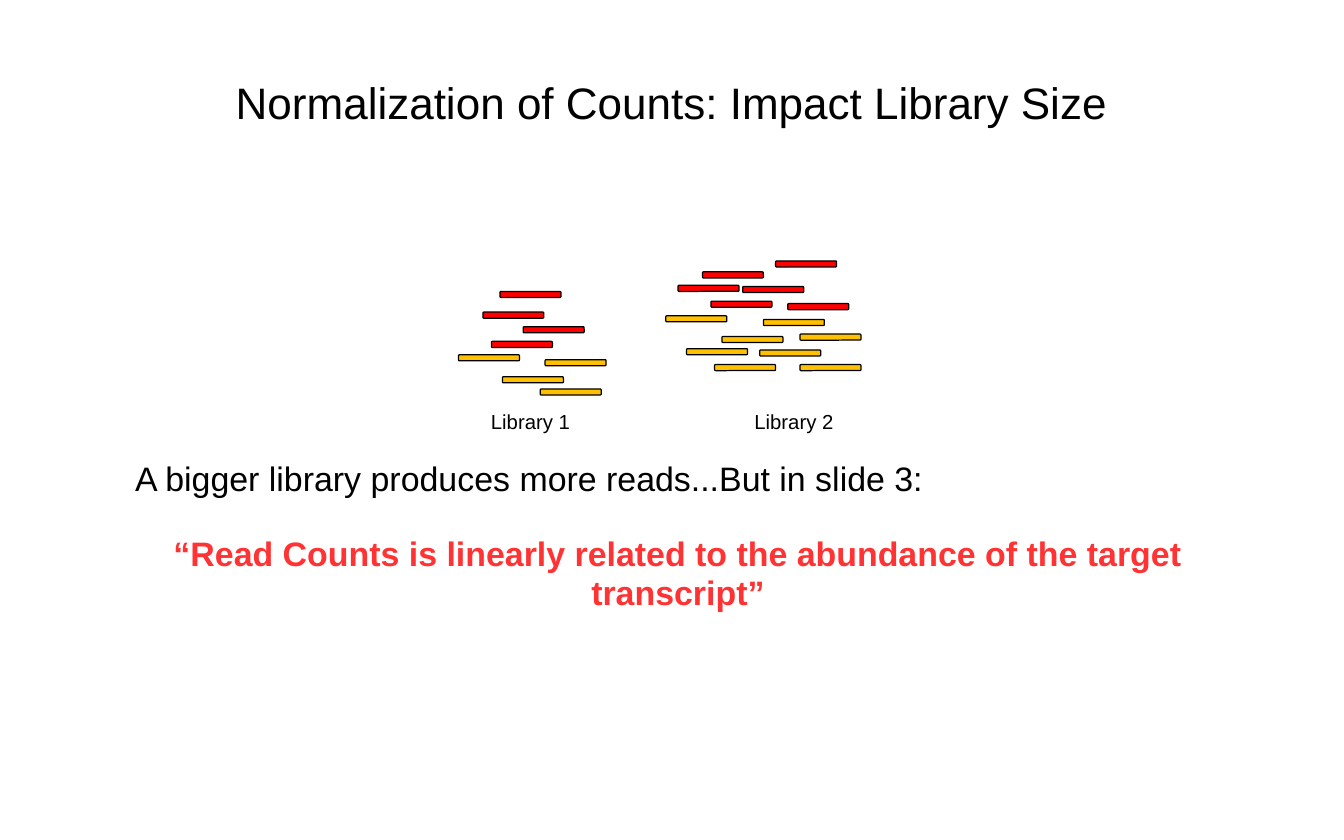
from pptx import Presentation
from pptx.dml.color import RGBColor
from pptx.enum.shapes import MSO_SHAPE
from pptx.enum.text import MSO_ANCHOR, PP_ALIGN
from pptx.util import Inches, Pt

COLS, ROWS = 110.2, 68.9
CELL = Inches(0.1)
BLACK, RED, GOLD, ROSE = "000000", "FF0000", "FFC000", "FF3333"

READS = {
    RED: [
        (41, 23.9), (39.6, 25.6), (42.9, 26.8), (40.3, 28),
        (63.6, 21.4), (57.6, 22.3), (55.6, 23.4), (60.9, 23.5),
        (58.3, 24.7), (64.6, 24.9),
    ],
    GOLD: [
        (37.6, 29.1), (44.7, 29.5), (41.2, 30.9), (44.3, 31.9),
        (54.6, 25.9), (62.6, 26.2), (65.6, 27.4), (59.2, 27.6),
        (56.3, 28.6), (62.3, 28.7), (58.6, 29.9), (65.6, 29.9),
    ],
}


def paint(code):
    return RGBColor.from_string(code)


def span(*cells):
    return [round(cell * CELL) for cell in cells]


def apply(target, form):
    for name, value in form.items():
        setattr(target, name, value)


def add_text(slide, place, lines, frame):
    text = slide.shapes.add_textbox(*span(*place)).text_frame
    apply(text, {"word_wrap": True, **frame})
    for index, (words, form, font, shade) in enumerate(lines):
        line = text.add_paragraph() if index else text.paragraphs[0]
        apply(line, form)
        run = line.add_run()
        run.text = words
        apply(run.font, {"name": "Arial", **font})
        run.font.color.rgb = paint(shade)


def add_read(slide, left, top, shade):
    read = slide.shapes.add_shape(MSO_SHAPE.ROUNDED_RECTANGLE, *span(left, top, 5, 0.5))
    read.shadow.inherit = False
    read.fill.solid()
    read.fill.fore_color.rgb = paint(shade)
    read.line.color.rgb = paint(BLACK)
    read.line.width = Pt(0.75)


def main():
    deck = Presentation()
    apply(deck, {"slide_width": round(COLS * CELL), "slide_height": round(ROWS * CELL)})
    slide = deck.slides.add_slide(deck.slide_layouts[6])
    center = {"alignment": PP_ALIGN.CENTER}

    add_text(
        slide, (5.5, 2.7, 99.2, 11.5),
        [("Normalization of Counts: Impact Library Size",
          {**center, "line_spacing": 0.89}, {"size": Pt(26)}, BLACK)],
        {"vertical_anchor": MSO_ANCHOR.MIDDLE, "margin_left": 0, "margin_right": 0,
         "margin_top": Inches(0.04), "margin_bottom": 0},
    )
    body = {"line_spacing": 0.94}
    add_text(
        slide, (10.1, 37.2, 91, 31),
        [("A bigger library produces more reads...But in slide 3:",
          body, {"size": Pt(20)}, BLACK),
         ("“Read Counts is linearly related to the abundance of the target transcript”",
          {**body, **center, "space_before": Pt(22)}, {"size": Pt(20), "bold": True}, ROSE)],
        {"margin_top": Inches(0.06)},
    )
    for shade, spots in READS.items():
        for left, top in spots:
            add_read(slide, left, top, shade)
    for index in range(2):
        add_text(
            slide, (35.6 + 21.6 * index, 33.1, 15.8, 3),
            [(f"Library {index + 1}", center, {"size": Pt(12)}, BLACK)], {},
        )
    deck.save("out.pptx")


if __name__ == "__main__":
    main()
